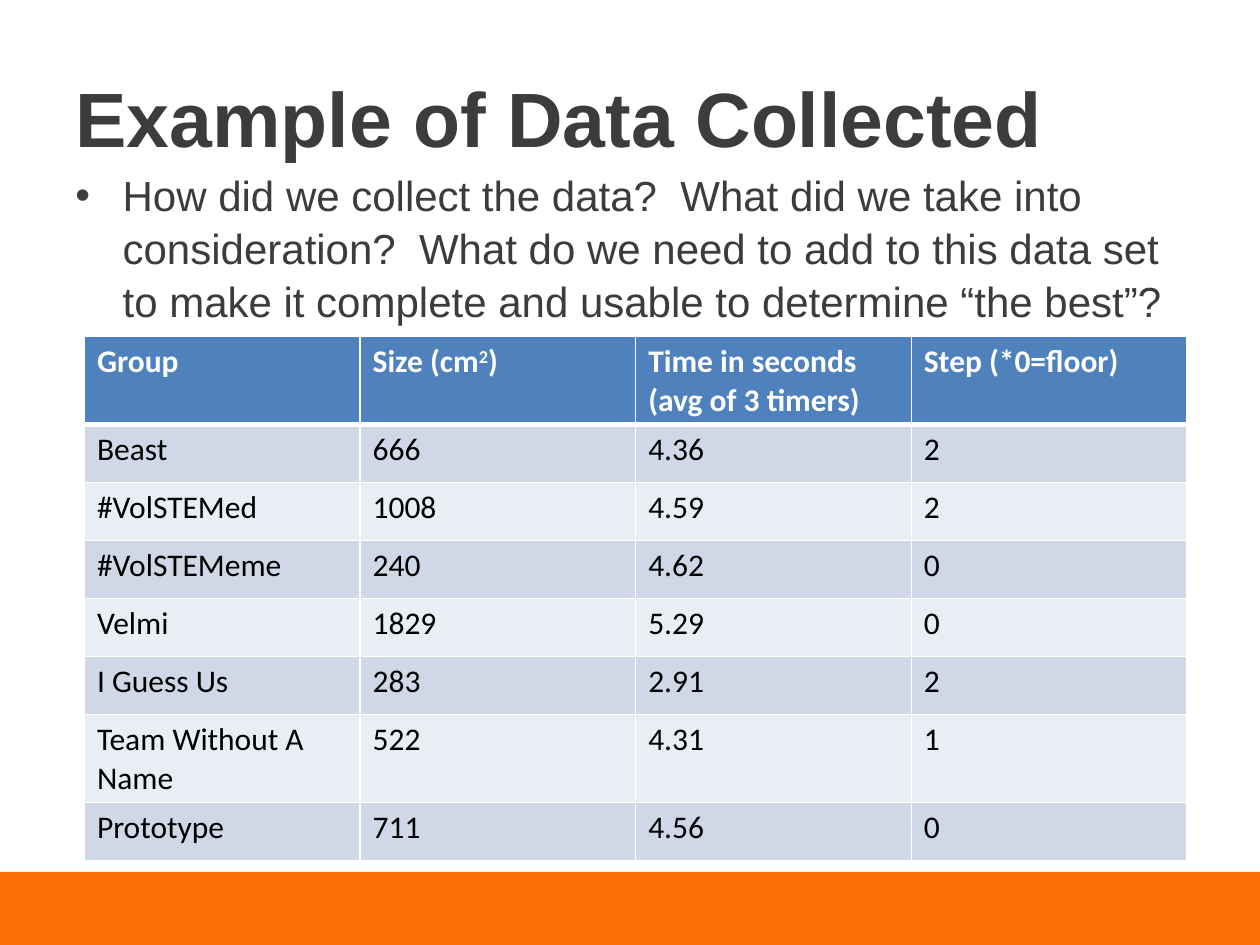
from dataclasses import dataclass

from lxml.etree import SubElement
from pptx import Presentation
from pptx.dml.color import RGBColor
from pptx.enum.shapes import MSO_SHAPE as Preset
from pptx.enum.text import MSO_ANCHOR as Anchor, PP_ALIGN as Align
from pptx.oxml.ns import qn
from pptx.slide import Slide
from pptx.table import _Cell as Cell
from pptx.text.text import _Paragraph as Paragraph
from pptx.util import Pt

WHITE = RGBColor(0xFF, 0xFF, 0xFF)
BLACK = RGBColor(0x00, 0x00, 0x00)
CHARCOAL = RGBColor(0x3B, 0x3C, 0x3E)
ORANGE = RGBColor(0xFD, 0x6D, 0x08)
HEADER_BLUE = RGBColor(0x4F, 0x81, 0xBD)
BAND_DARK = RGBColor(0xD0, 0xD8, 0xE8)
BAND_LIGHT = RGBColor(0xE9, 0xED, 0xF4)

QUESTION = (
    "How did we collect the data?  What did we take into consideration?  "
    "What do we need to add to this data set to make it complete and usable "
    "to determine “the best”?"
)


@dataclass(frozen=True)
class TextStyle:
    font: str
    size: float
    color: RGBColor
    bold: bool = False


@dataclass(frozen=True)
class Result:
    group: str
    size: str
    time: str
    step: str
    height: float = 33.12

    def values(self) -> list[str]:
        return [self.group, self.size, self.time, self.step]


TITLE_STYLE = TextStyle("Arial", 44, CHARCOAL, True)
BODY_STYLE = TextStyle("Arial", 24, CHARCOAL)
HEADER_STYLE = TextStyle("Calibri", 18, WHITE, True)
CELL_STYLE = TextStyle("Calibri", 18, BLACK)

TALL_ROW = 47.52
COLUMN_WIDTH = 157.5
HEADINGS = [
    ["Group"],
    ["Size (cm", "2", ")"],
    ["Time in seconds (avg of 3 timers)"],
    ["Step (*0=floor)"],
]
RESULTS = [
    Result("Beast", "666", "4.36", "2"),
    Result("#VolSTEMed", "1008", "4.59", "2"),
    Result("#VolSTEMeme", "240", "4.62", "0"),
    Result("Velmi", "1829", "5.29", "0"),
    Result("I Guess Us", "283", "2.91", "2"),
    Result("Team Without A Name", "522", "4.31", "1", TALL_ROW),
    Result("Prototype", "711", "4.56", "0"),
]


def add_runs(paragraph: Paragraph, texts: list[str], style: TextStyle) -> None:
    for text in texts:
        run = paragraph.add_run()
        run.text = text
        run.font.name = style.font
        run.font.size = Pt(style.size)
        run.font.bold = style.bold
        run.font.color.rgb = style.color


def add_footer_band(slide: Slide) -> None:
    band = slide.shapes.add_shape(
        Preset.RECTANGLE, Pt(0), Pt(498.25), Pt(720), Pt(41.75)
    )
    band.shadow.inherit = False
    band.fill.solid()
    band.fill.fore_color.rgb = ORANGE
    band.line.fill.background()


def set_title(slide: Slide) -> None:
    title = slide.shapes.title
    title.left, title.top, title.width, title.height = (
        Pt(36), Pt(21.6), Pt(648), Pt(90)
    )
    title.text_frame.vertical_anchor = Anchor.MIDDLE
    paragraph = title.text_frame.paragraphs[0]
    paragraph.alignment = Align.LEFT
    add_runs(paragraph, ["Example of Data Collected"], TITLE_STYLE)


def add_question(slide: Slide) -> None:
    box = slide.shapes.add_textbox(Pt(36), Pt(92.16), Pt(648), Pt(356.4))
    box.text_frame.word_wrap = True
    paragraph = box.text_frame.paragraphs[0]
    paragraph.space_before = Pt(4.8)
    paragraph.line_spacing = 1.05
    add_runs(paragraph, [QUESTION], BODY_STYLE)
    properties = paragraph._p.get_or_add_pPr()
    properties.set("marL", str(Pt(27)))
    properties.set("indent", str(Pt(-27)))
    SubElement(properties, qn("a:buFont"), typeface="Arial")
    SubElement(properties, qn("a:buChar"), char="•")


def format_cell(cell: Cell, fill: RGBColor, bottom: float, top: float) -> None:
    properties = cell._tc.get_or_add_tcPr()
    for side, width in (("L", 1), ("R", 1), ("T", top), ("B", bottom)):
        line = SubElement(properties, qn(f"a:ln{side}"), w=str(Pt(width)))
        solid = SubElement(line, qn("a:solidFill"))
        SubElement(solid, qn("a:srgbClr"), val=str(WHITE))
    cell.fill.solid()
    cell.fill.fore_color.rgb = fill


def add_results_table(slide: Slide) -> None:
    heights = [TALL_ROW] + [result.height for result in RESULTS]
    frame = slide.shapes.add_table(
        len(heights), len(HEADINGS), Pt(48.24), Pt(192.24),
        Pt(COLUMN_WIDTH * len(HEADINGS)), Pt(sum(heights)),
    )
    table = frame.table
    table.horz_banding = False
    for column in table.columns:
        column.width = Pt(COLUMN_WIDTH)
    for row, height in zip(table.rows, heights):
        row.height = Pt(height)

    for cell, texts in zip(table.rows[0].cells, HEADINGS):
        format_cell(cell, HEADER_BLUE, bottom=3, top=1)
        add_runs(cell.text_frame.paragraphs[0], texts, HEADER_STYLE)
    exponent = table.cell(0, 1).text_frame.paragraphs[0].runs[1]
    exponent.font._element.set("baseline", "30000")

    for index, result in enumerate(RESULTS, start=1):
        fill = BAND_DARK if index % 2 else BAND_LIGHT
        for cell, text in zip(table.rows[index].cells, result.values()):
            format_cell(cell, fill, bottom=1, top=3 if index == 1 else 1)
            add_runs(cell.text_frame.paragraphs[0], [text], CELL_STYLE)


def main() -> None:
    presentation = Presentation()
    presentation.slide_width = Pt(720)
    presentation.slide_height = Pt(540)
    slide = presentation.slides.add_slide(presentation.slide_layouts[5])
    add_footer_band(slide)
    set_title(slide)
    add_question(slide)
    add_results_table(slide)
    presentation.save("out.pptx")


if __name__ == "__main__":
    main()
